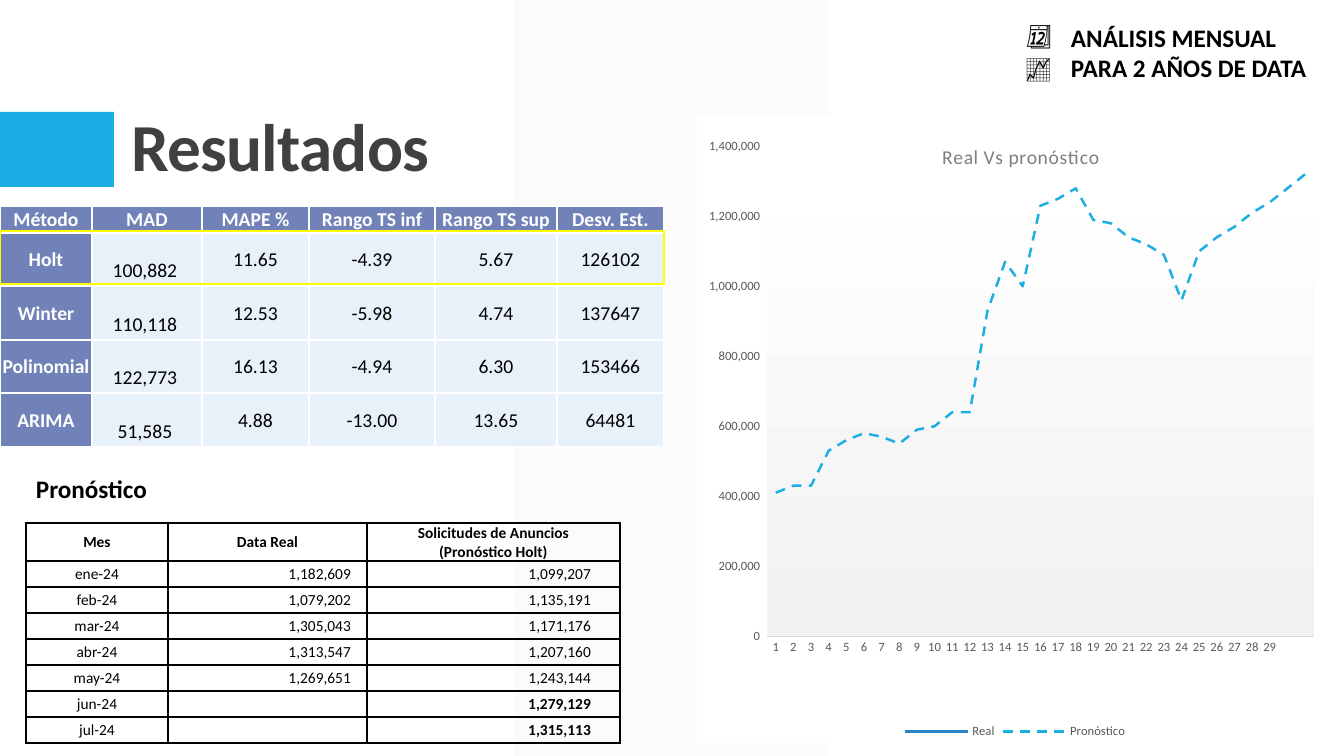
from dataclasses import dataclass

from pptx import Presentation
from pptx import util as u
from pptx.chart.data import CategoryChartData
from pptx.dml.color import RGBColor
from pptx.enum import chart as charts, dml, shapes, text
from pptx.oxml import parse_xml
from pptx.oxml.ns import nsdecls, qn

EMU_PER_PX = 914400 / 100.8
FONT = "Calibri"
BLACK, WHITE, GREY = "000000", "FFFFFF", "595959"
CYAN, BLUE, SLATE, ICE = "1CADE4", "2683C6", "7182B8", "E8F1FA"
CENTER, RIGHT = text.PP_ALIGN.CENTER, text.PP_ALIGN.RIGHT


@dataclass
class Label:
    words: str
    left: int
    top: int
    width: int
    bold: bool = True


@dataclass
class CellLook:
    size: int
    color: str = BLACK
    bold: bool = False
    fill: str = ""
    border: str = BLACK
    align: int = CENTER
    top_inset: int = 1
    right_inset: int = 1


LABELS = [
    Label("PARA 2 AÑOS DE DATA", 1061, 47, 258),
    Label("📈", 1016, 47, 55, False),
    Label("📆", 1016, 14, 55, False),
    Label("ANÁLISIS MENSUAL", 1061, 17, 228),
    Label("Pronóstico", 26, 468, 132),
]
METHODS = [
    ["Método", "MAD", "MAPE %", "Rango TS inf", "Rango TS sup", "Desv. Est."],
    ["Holt", "100,882", "11.65", "-4.39", "5.67", "126102"],
    ["Winter", "110,118", "12.53", "-5.98", "4.74", "137647"],
    ["Polinomial", "122,773", "16.13", "-4.94", "6.30", "153466"],
    ["ARIMA", "51,585", "4.88", "-13.00", "13.65", "64481"],
]
FORECAST = [
    ["Mes", "Data Real", "Solicitudes de Anuncios\n(Pronóstico Holt)"],
    ["ene-24", "1,182,609", "1,099,207"],
    ["feb-24", "1,079,202", "1,135,191"],
    ["mar-24", "1,305,043", "1,171,176"],
    ["abr-24", "1,313,547", "1,207,160"],
    ["may-24", "1,269,651", "1,243,144"],
    ["jun-24", "", "1,279,129"],
    ["jul-24", "", "1,315,113"],
]
REAL_THOUSANDS = [
    380, 380, 530, 510, 530, 520, 490, 550, 550, 610, 590, 1010, 1090, 910, 1290,
    1200, 1240, 1090, 1120, 1070, 1060, 1020, 850, 1110, 1180, 1080, 1310, 1310, 1270]
FORECAST_THOUSANDS = [
    410, 430, 430, 530, 560, 580, 570, 550, 590, 600, 640, 640, 930, 1070, 1000, 1230,
    1250, 1280, 1190, 1180, 1140, 1120, 1090, 960, 1100, 1140, 1170, 1210, 1240, 1280, 1320]


def px(length: int) -> int:
    return u.Emu(round(length * EMU_PER_PX))


def box(*lengths: int) -> list[int]:
    return [px(length) for length in lengths]


def rgb(color: str) -> RGBColor:
    return RGBColor.from_string(color)


def style(font, size: int, color: str, bold: bool = False) -> None:
    font.name, font.size, font.bold = FONT, u.Pt(size), bold
    font.color.rgb = rgb(color)


def add_block(slide, kind: int, bounds: list[int], fill: str = "", line: str = ""):
    block = slide.shapes.add_shape(kind, *bounds)
    block.shadow.inherit = False
    if fill:
        block.fill.solid()
        block.fill.fore_color.rgb = rgb(fill)
    else:
        block.fill.background()
    if line:
        block.line.color.rgb = rgb(line)
        block.line.width = u.Pt(1.25)
    else:
        block.line.fill.background()
    return block


def add_label(slide, label: Label) -> None:
    frame = slide.shapes.add_textbox(*box(label.left, label.top, label.width, 40)).text_frame
    frame.word_wrap = False
    frame.text = label.words
    style(frame.paragraphs[0].font, 18, BLACK, label.bold)


def fill_cell(cell, words: str, look: CellLook) -> None:
    cell.text = words
    cell.vertical_anchor = text.MSO_ANCHOR.MIDDLE
    cell.margin_left, cell.margin_bottom = px(1), 0
    cell.margin_top, cell.margin_right = px(look.top_inset), px(look.right_inset)
    for paragraph in cell.text_frame.paragraphs:
        paragraph.alignment = look.align
        style(paragraph.font, look.size, look.color, look.bold)
        if not words:
            paragraph._p.append(parse_xml(
                f'<a:endParaRPr {nsdecls("a")} sz="{look.size * 100}"/>'))
    if look.fill:
        cell.fill.solid()
        cell.fill.fore_color.rgb = rgb(look.fill)
    else:
        cell.fill.background()
    for order, side in enumerate("LRTB"):
        cell._tc.get_or_add_tcPr().insert(order, parse_xml(
            f'<a:ln{side} {nsdecls("a")} w="12700"><a:solidFill>'
            f'<a:srgbClr val="{look.border}"/></a:solidFill></a:ln{side}>'))


def method_look(row: int, column: int) -> CellLook:
    if row == 0 or column == 0:
        return CellLook(14, WHITE, True, SLATE, WHITE)
    if column == 1:
        return CellLook(14, fill=ICE, border=WHITE, top_inset=23, right_inset=5)
    return CellLook(14, fill=ICE, border=WHITE)


def forecast_look(row: int, column: int) -> CellLook:
    if row == 0 or column == 0:
        return CellLook(11, bold=row == 0)
    return CellLook(11, bold=row > 5 and column == 2, align=RIGHT,
                    right_inset=16 if column == 1 else 29)


def add_grid(slide, left: int, top: int, widths: list[int], heights: list[int],
             rows: list[list[str]], look_of) -> None:
    bounds = box(left, top, sum(widths), sum(heights))
    table = slide.shapes.add_table(len(heights), len(widths), *bounds).table
    table.horz_banding = False
    for column, width in zip(table.columns, widths):
        column.width = px(width)
    for r, (height, values) in enumerate(zip(heights, rows)):
        table.rows[r].height = px(height)
        for c, words in enumerate(values):
            fill_cell(table.cell(r, c), words, look_of(r, c))


def set_layout(parent, order: int, **sizes: float) -> None:
    """Fix the place of a chart part, in fractions of the chart."""
    for old in parent.findall(qn("c:layout")):
        parent.remove(old)
    target = '<c:layoutTarget val="inner"/>' if "w" in sizes else ""
    modes = "".join(f'<c:{k}Mode val="edge"/>' for k in "xy")
    values = "".join(f'<c:{k} val="{v}"/>' for k, v in sizes.items())
    parent.insert(order, parse_xml(
        f'<c:layout {nsdecls("c")}><c:manualLayout>{target}{modes}{values}'
        '</c:manualLayout></c:layout>'))


def add_forecast_chart(slide) -> None:
    data = CategoryChartData()
    data.categories = [str(month) for month in range(1, 30)]
    data.add_series("Real", [1000 * v for v in REAL_THOUSANDS])
    data.add_series("Pronóstico", [1000 * v for v in FORECAST_THOUSANDS])
    chart = slide.shapes.add_chart(
        charts.XL_CHART_TYPE.LINE, *box(697, 115, 636, 628), data).chart
    style(chart.font, 10, BLACK)
    chart.plots[0].vary_by_categories = False
    for series, color in zip(chart.plots[0].series, (BLUE, CYAN)):
        series.smooth = False
        series.marker.style = charts.XL_MARKER_STYLE.NONE
        series.format.line.color.rgb = rgb(color)
        series.format.line.width = u.Pt(1.75)
    series.format.line.dash_style = dml.MSO_LINE.DASH

    months, requests = chart.category_axis, chart.value_axis
    for axis in (months, requests):
        axis.has_major_gridlines = False
        axis.major_tick_mark = axis.minor_tick_mark = charts.XL_TICK_MARK.NONE
        style(axis.tick_labels.font, 9, GREY)
    months.format.line.color.rgb = rgb("D9D9D9")
    months.format.line.width = u.Pt(0.75)
    requests.format.line.fill.background()
    requests.minimum_scale, requests.maximum_scale = 0, 1400000
    requests.major_unit = 200000
    requests.tick_labels.number_format = "#,##0_);\\(#,##0\\)"
    requests.tick_labels.number_format_is_linked = False

    chart.has_legend = True
    chart.legend.position = charts.XL_LEGEND_POSITION.BOTTOM
    chart.legend.include_in_layout = False
    style(chart.legend.font, 9, GREY)
    chart.has_title = True
    heading = chart.chart_title.text_frame
    heading.text = "Real Vs pronóstico"
    style(heading.paragraphs[0].font, 14, "7F7F7F")
    heading.paragraphs[0].font._rPr.set("spc", "30")
    set_layout(chart.chart_title._element, 1, x=0.38, y=0.04)

    area = chart._chartSpace.chart.plotArea
    set_layout(area, 0, x=0.11, y=0.05, w=0.86, h=0.78)
    area.append(parse_xml(
        f'<c:spPr {nsdecls("c", "a")}><a:gradFill><a:gsLst>'
        '<a:gs pos="0"><a:srgbClr val="FFFFFF"/></a:gs>'
        '<a:gs pos="100000"><a:srgbClr val="F2F2F2"/></a:gs>'
        '</a:gsLst><a:lin ang="5400000" scaled="0"/></a:gradFill></c:spPr>'))
    chart._chartSpace.chart.addnext(parse_xml(
        f'<c:spPr {nsdecls("c", "a")}><a:solidFill><a:srgbClr val="{WHITE}"/></a:solidFill>'
        '<a:ln><a:noFill/></a:ln></c:spPr>'))


def add_title(slide) -> None:
    title = slide.shapes.title
    title.left, title.top, title.width, title.height = box(121, 31, 1109, 160)
    frame = title.text_frame
    frame.text = "Resultados"
    frame.auto_size = text.MSO_AUTO_SIZE.NONE
    frame.vertical_anchor = text.MSO_ANCHOR.BOTTOM
    line = frame.paragraphs[0]
    line.alignment, line.line_spacing = text.PP_ALIGN.LEFT, 0.9
    style(line.font, 48, "404040", True)
    line.font._rPr.set("spc", "-50")


def main() -> None:
    deck = Presentation()
    deck.slide_width, deck.slide_height = box(1344, 756)
    slide = deck.slides.add_slide(deck.slide_layouts[5])
    band = add_block(slide, shapes.MSO_SHAPE.PARALLELOGRAM, box(514, 0, 315, 756), "F2F2F2")
    band.adjustments[0] = 0
    band_color = band._element.spPr.find(qn("a:solidFill"))[0]
    band_color.append(parse_xml(f'<a:alpha {nsdecls("a")} val="30000"/>'))
    add_block(slide, shapes.MSO_SHAPE.RECTANGLE, box(0, 112, 114, 75), CYAN)
    add_title(slide)
    for label in LABELS:
        add_label(slide, label)
    add_grid(slide, 0, 206, [92, 110, 107, 126, 122, 107], [27, 53, 54, 53, 54],
             METHODS, method_look)
    add_block(slide, shapes.MSO_SHAPE.RECTANGLE, box(0, 231, 664, 53), line="FFFF00")
    add_grid(slide, 26, 523, [142, 199, 253], [38] + [26] * 7, FORECAST, forecast_look)
    add_forecast_chart(slide)
    deck.save("out.pptx")


if __name__ == "__main__":
    main()
